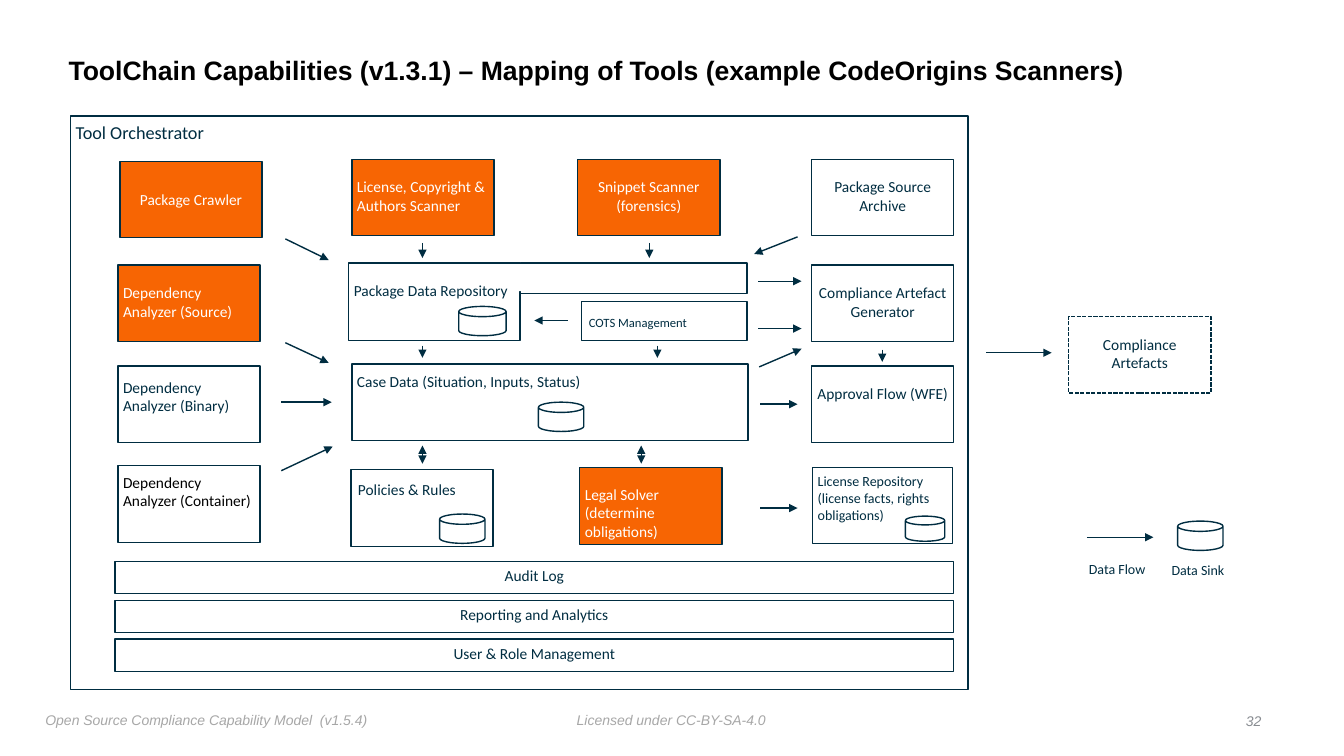
from dataclasses import dataclass
from lxml.etree import SubElement
from pptx import Presentation
from pptx.dml.color import RGBColor
from pptx.enum.dml import MSO_LINE
from pptx.enum.shapes import MSO_CONNECTOR, MSO_SHAPE
from pptx.enum.text import MSO_ANCHOR, PP_ALIGN
from pptx.oxml.ns import qn
from pptx.util import Inches, Pt


@dataclass(frozen=True)
class Theme:
    navy: str = "002D41"
    orange: str = "F76503"
    white: str = "FFFFFF"
    black: str = "000000"
    footer: str = "A7A7A7"
    number: str = "888C91"
    body_font: str = "Calibri"
    head_font: str = "Arial"
    title_size: int = 19
    frame_size: int = 13
    body_size: int = 11
    small_size: int = 10
    tiny_size: int = 9
    line_width: int = 1
    inset: float = 0.05


T = Theme()
LEFT, CENTER, RIGHT = PP_ALIGN.LEFT, PP_ALIGN.CENTER, PP_ALIGN.RIGHT


@dataclass(frozen=True)
class Box:
    text: str
    x: float
    y: float
    w: float = 1.41
    h: float = 0.76
    fill: str = T.white
    color: str = T.navy
    size: int = T.body_size
    align: PP_ALIGN = LEFT
    down: float = 0.13
    right: float = 0
    line: bool = True
    dashed: bool = False


@dataclass(frozen=True)
class Label:
    text: str
    x: float
    y: float
    w: float
    h: float
    size: int = T.small_size
    color: str = T.navy
    font: str = T.body_font
    bold: bool = False
    italic: bool = False
    align: PP_ALIGN = LEFT
    anchor: MSO_ANCHOR = MSO_ANCHOR.TOP


@dataclass(frozen=True)
class Arrow:
    x1: float
    y1: float
    x2: float
    y2: float
    both: bool = False


@dataclass(frozen=True)
class Sink:
    x: float
    y: float
    w: float = 0.45
    h: float = 0.29


def tool(text: str, x: float, y: float, align: PP_ALIGN = LEFT, down: float = 0.13) -> Box:
    return Box(text, x, y, fill=T.orange, color=T.white, align=align, down=down)


def write(tf, item: Box | Label, font: str) -> None:
    tf.text = item.text
    tf.margin_left = tf.margin_right = tf.margin_top = tf.margin_bottom = Inches(T.inset)
    for p in tf.paragraphs:
        p.alignment = item.align
        p.font.name = font
        p.font.size = Pt(item.size)
        p.font.color.rgb = RGBColor.from_string(item.color)


def add_shape(s, kind: MSO_SHAPE, item: Box | Sink, fill: str):
    sp = s.shapes.add_shape(kind, Inches(item.x), Inches(item.y), Inches(item.w), Inches(item.h))
    sp.shadow.inherit = False
    sp.fill.solid()
    sp.fill.fore_color.rgb = RGBColor.from_string(fill)
    sp.line.color.rgb = RGBColor.from_string(T.navy)
    sp.line.width = Pt(T.line_width)
    return sp


def add_box(s, box: Box) -> None:
    sp = add_shape(s, MSO_SHAPE.RECTANGLE, box, box.fill)
    if box.dashed:
        sp.line.dash_style = MSO_LINE.SQUARE_DOT
    if not box.line:
        sp.line.fill.background()
    if box.text:
        tf = sp.text_frame
        write(tf, box, T.body_font)
        tf.word_wrap = True
        tf.vertical_anchor = MSO_ANCHOR.TOP
        tf.margin_top = Inches(T.inset + box.down)
        tf.margin_left = Inches(T.inset + box.right)


def add_sink(s, sink: Sink) -> None:
    add_shape(s, MSO_SHAPE.CAN, sink, T.white).adjustments[0] = 0.35


def add_label(s, label: Label) -> None:
    tb = s.shapes.add_textbox(Inches(label.x), Inches(label.y), Inches(label.w), Inches(label.h))
    tf = tb.text_frame
    write(tf, label, label.font)
    tf.word_wrap = False
    tf.vertical_anchor = label.anchor
    tf.paragraphs[0].font.bold = label.bold
    tf.paragraphs[0].font.italic = label.italic


def add_arrow(s, arrow: Arrow) -> None:
    c = s.shapes.add_connector(MSO_CONNECTOR.STRAIGHT, Inches(arrow.x1), Inches(arrow.y1),
                               Inches(arrow.x2), Inches(arrow.y2))
    c.line.color.rgb = RGBColor.from_string(T.navy)
    c.line.width = Pt(T.line_width)
    ln = c.line._get_or_add_ln()
    for end in ("headEnd", "tailEnd") if arrow.both else ("tailEnd",):
        SubElement(ln, qn(f"a:{end}"), type="triangle")
    SubElement(c._element.spPr, qn("a:effectLst"))


BARS = ("Audit Log", "Reporting and Analytics", "User & Role Management")

BOXES = [
    Box("Tool Orchestrator", 0.7, 1.15, 8.9, 5.69, size=T.frame_size, down=0),
    tool("Package Crawler", 1.19, 1.6, CENTER, 0.24),
    tool("License, Copyright & Authors Scanner", 3.49, 1.58),
    tool("Snippet Scanner\n(forensics)", 5.73, 1.58, CENTER),
    Box("Package Source Archive", 8.05, 1.58, align=CENTER),
    tool("Dependency Analyzer (Source)", 1.17, 2.63),
    Box("Dependency Analyzer (Binary)", 1.17, 3.63, down=0.07),
    Box("Dependency Analyzer (Container)", 1.17, 4.62, color=T.black, down=0.02),
    Box("Package Data Repository", 3.46, 2.61, 1.7, 0.77),
    Box("", 5.16, 2.61, 2.25, 0.3),
    Box("", 5.04, 2.62, 0.19, 0.27, line=False),
    Box("COTS Management", 5.77, 2.99, 1.64, 0.39, size=T.tiny_size, down=0.08, right=0.02),
    Box("Compliance Artefact Generator", 8.05, 2.63, align=CENTER),
    Box("Case Data (Situation, Inputs, Status)", 3.49, 3.61, 3.93, down=0.03),
    Box("Approval Flow (WFE)", 8.05, 3.63, align=CENTER),
    Box("Policies & Rules", 3.48, 4.66, down=0.05, right=0.02),
    tool("Legal Solver (determine obligations)", 5.75, 4.64, down=0.12),
    Box("License Repository (license facts, rights obligations)", 8.06, 4.64, 1.39, 0.75,
        size=T.small_size, down=0),
    Box("Compliance Artefacts", 10.6, 3.14, align=CENTER, dashed=True),
    *(Box(name, 1.14, 5.57 + 0.385 * i, 8.32, 0.32, align=CENTER, down=0)
      for i, name in enumerate(BARS)),
]

SINKS = [
    Sink(4.55, 3.04, 0.47),
    Sink(5.34, 3.99),
    Sink(4.36, 5.1),
    Sink(8.98, 5.12, 0.39, 0.25),
    Sink(11.68, 5.17),
]

ARROWS = [
    *(Arrow(x, 2.41, x, 2.56) for x in (4.19, 6.44)),
    *(Arrow(x, 3.43, x, 3.55) for x in (4.19, 6.52)),
    *(Arrow(x, 4.6, x, 4.42, both=True) for x in (4.19, 6.36)),
    *(Arrow(7.54, y, 7.91, y) for y in (4.01, 5.04)),
    *(Arrow(7.52, y, 7.95, y) for y in (2.79, 3.26)),
    Arrow(2.83, 2.37, 3.26, 2.58),
    Arrow(2.83, 3.4, 3.26, 3.6),
    Arrow(2.79, 3.99, 3.29, 3.99),
    Arrow(2.79, 4.67, 3.3, 4.43),
    Arrow(5.63, 3.18, 5.3, 3.18),
    Arrow(7.91, 2.35, 7.48, 2.52),
    Arrow(7.53, 3.64, 7.95, 3.46),
    Arrow(8.75, 3.47, 8.75, 3.59),
    Arrow(9.78, 3.5, 10.43, 3.5),
    Arrow(10.78, 5.33, 11.44, 5.33),
]

LABELS = [
    Label("ToolChain Capabilities (v1.3.1) – Mapping of Tools (example CodeOrigins Scanners)",
          0.63, 0.37, 10.75, 0.65, T.title_size, T.black, T.head_font, bold=True,
          anchor=MSO_ANCHOR.MIDDLE),
    Label("Data Flow", 10.75, 5.51, 0.72, 0.27),
    Label("Data Sink", 11.57, 5.52, 0.7, 0.27),
    Label("Open Source Compliance Capability Model  (v1.5.4)", 0.4, 7.01, 3.32, 0.27,
          color=T.footer, font=T.head_font, italic=True),
    Label("Licensed under CC-BY-SA-4.0", 5.67, 7.01, 1.99, 0.25,
          color=T.footer, font=T.head_font, italic=True),
    Label("32", 12.06, 7.03, 0.5, 0.25, color=T.number, font=T.head_font, italic=True,
          align=RIGHT, anchor=MSO_ANCHOR.MIDDLE),
]


def main() -> None:
    prs = Presentation()
    prs.slide_width, prs.slide_height = Inches(13.33), Inches(7.5)
    s = prs.slides.add_slide(prs.slide_layouts[6])
    for draw, items in ((add_box, BOXES), (add_sink, SINKS), (add_arrow, ARROWS), (add_label, LABELS)):
        for item in items:
            draw(s, item)
    prs.save("out.pptx")


if __name__ == "__main__":
    main()
